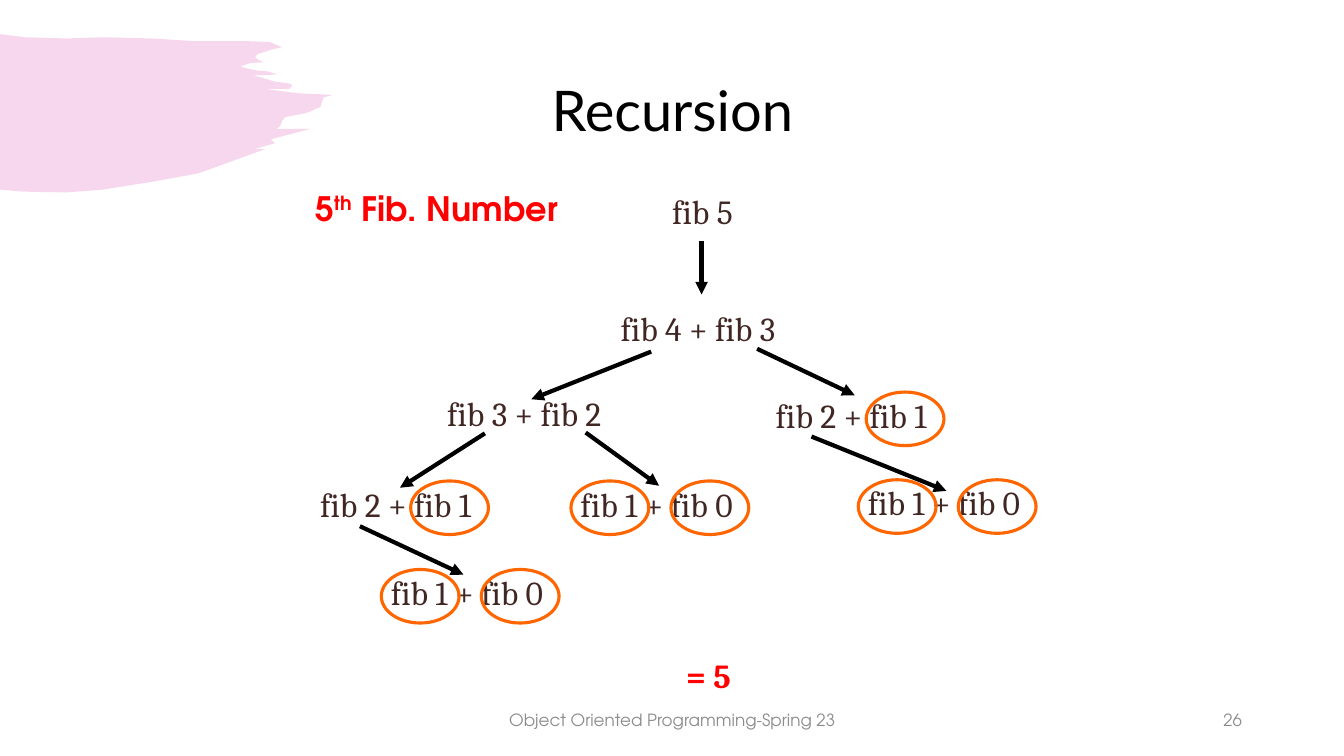
"""Build a slide that shows the call tree of the fifth Fibonacci number."""
from dataclasses import dataclass

from lxml.etree import SubElement
from pptx import Presentation
from pptx.dml.color import RGBColor as RGB
from pptx.enum.shapes import MSO_CONNECTOR as LINE, MSO_SHAPE as SHAPE
from pptx.enum.text import MSO_ANCHOR as ANCHOR, PP_ALIGN as ALIGN
from pptx.oxml.ns import qn
from pptx.util import Cm, Pt


@dataclass(frozen=True)
class Theme:
    """Colours, fonts and sizes of the slide."""
    ink: RGB = RGB.from_string("000000")
    node: RGB = RGB.from_string("412724")
    key: RGB = RGB.from_string("FF0000")
    ring: RGB = RGB.from_string("FF6600")
    brush: RGB = RGB.from_string("D739AE")
    mute: RGB = RGB.from_string("8C8C8C")
    head: str = "Lato"
    sans: str = "TeX Gyre Adventor"
    serif: str = "Cambria"
    large: Pt = Pt(40)
    body: Pt = Pt(24)
    small: Pt = Pt(12)
    stroke: Pt = Pt(3)
    thin: Pt = Pt(2.25)


THEME = Theme()
INSET = 1.52
RING = (1.96, 1.35)
TERMS = (1.28, 3.8)
BASE = ("fib 0", "fib 1")

NODES = [
    ("fib 5", 15.42, 4.8),
    ("fib 4 + fib 3", 14.12, 7.75),
    ("fib 3 + fib 2", 9.75, 9.88),
    ("fib 2 + fib 1", 18.03, 9.93),
    ("fib 2 + fib 1", 6.55, 12.17),
    ("fib 1 + fib 0", 13.11, 12.17),
    ("fib 1 + fib 0", 20.35, 12.14),
    ("fib 1 + fib 0", 8.33, 14.4),
]

CALLS = [
    (17.68, 6.07, 17.68, 7.42),
    (16.41, 8.86, 13.39, 10.06),
    (19.08, 8.79, 21.54, 9.96),
    (12.22, 10.92, 10.08, 12.29),
    (14.76, 10.9, 16.61, 12.24),
    (20.45, 11, 23.85, 12.37),
    (9.07, 13.26, 11.68, 14.48),
]

BRUSH = [
    (0, 0.86), (0.64, 0.94), (1.68, 0.97), (2.59, 0.94), (3.84, 0.97),
    (4.93, 1.04), (6.3, 1.04), (6.8, 1.06), (7.11, 1.19), (6.88, 1.24),
    (6.48, 1.37), (6.43, 1.45), (6.5, 1.5), (6.65, 1.57), (6.3, 1.59),
    (6.05, 1.68), (6.25, 1.73), (6.5, 1.78), (6.76, 1.8), (6.98, 1.88),
    (6.38, 1.9), (6.68, 1.98), (6.93, 2.06), (7.11, 2.08), (7.32, 2.11),
    (7.37, 2.16), (7.29, 2.24), (7.21, 2.24), (6.68, 2.24), (7.5, 2.35),
    (8.38, 2.39), (8.15, 2.46), (8.08, 2.69), (7.8, 2.82), (7.62, 2.87),
    (7.19, 2.95), (7.11, 3.05), (7.06, 3.18), (6.96, 3.25), (7.82, 3.25),
    (6.83, 3.51), (6.93, 3.61), (6.4, 3.76), (6.68, 3.76), (5, 4.37),
    (3.9, 4.57), (2.59, 4.78), (1.65, 4.85), (0.58, 4.83), (0, 4.78),
]


def add_text(slide, text, box, font, size, color, align=ALIGN.LEFT,
             inset=0.25, bold=False):
    """Add a text box and return its paragraph."""
    frame = slide.shapes.add_textbox(*map(Cm, box)).text_frame
    frame.word_wrap = True
    frame.margin_left = Cm(inset)
    frame.vertical_anchor = ANCHOR.MIDDLE
    frame.text = text
    para = frame.paragraphs[0]
    para.alignment = align
    para.line_spacing = 0.9
    style(para.runs[0], font, size, color, bold)
    return para


def style(run, font, size, color, bold):
    """Set the font of a run."""
    run.font.name, run.font.size, run.font.bold = font, size, bold
    run.font.color.rgb = color


def add_brush(slide):
    """Add the pale brush stroke in the corner."""
    start, *rest = [(Cm(x), Cm(y)) for x, y in BRUSH]
    build = slide.shapes.build_freeform(*start)
    build.add_line_segments(rest)
    shape = build.convert_to_shape()
    shape.shadow.inherit = False
    shape.line.fill.background()
    shape.fill.solid()
    shape.fill.fore_color.rgb = THEME.brush
    tint = next(shape.element.spPr.iter(qn("a:srgbClr")))
    SubElement(tint, qn("a:alpha"), val="20000")


def add_arrow(slide, ends):
    """Add an arrow from a call to its result."""
    arrow = slide.shapes.add_connector(LINE.STRAIGHT, *map(Cm, ends))
    arrow.line.color.rgb = THEME.ink
    arrow.line.width = THEME.stroke
    SubElement(arrow.line._get_or_add_ln(), qn("a:tailEnd"), type="triangle")
    SubElement(arrow._element.spPr, qn("a:effectLst"))


def add_node(slide, text, left, top):
    """Add a sum of calls."""
    add_text(slide, text, (left, top, 7.09, 1.17), THEME.serif, THEME.body,
             THEME.node, inset=INSET)


def add_rings(slide, text, left, top):
    """Ring each base case in a sum of calls."""
    for term, shift in zip(text.split(" + "), TERMS):
        if term in BASE:
            box = (left + shift, top - 0.05, *RING)
            ring = slide.shapes.add_shape(SHAPE.OVAL, *map(Cm, box))
            ring.shadow.inherit = False
            ring.fill.background()
            ring.line.color.rgb = THEME.ring
            ring.line.width = THEME.thin


def add_label(slide):
    """Add the red label with its raised ordinal."""
    font = (THEME.sans, THEME.body, THEME.key, True)
    para = add_text(slide, "5", (6.43, 4.7, 7.95, 1.19), *font[:3],
                    inset=INSET, bold=True)
    for text, base in (("th", "30000"), (" Fib. Number", "0")):
        run = para.add_run()
        run.text = text
        style(run, *font)
        run.font._element.set("baseline", base)


def main():
    """Build and save the slide."""
    deck = Presentation()
    deck.slide_width, deck.slide_height = Cm(33.87), Cm(19.05)
    slide = deck.slides.add_slide(deck.slide_layouts[6])
    add_brush(slide)
    add_text(slide, "Recursion", (2.34, 1.02, 29.21, 3.68), THEME.head,
             THEME.large, THEME.ink, ALIGN.CENTER)
    foot = (THEME.sans, THEME.small, THEME.mute)
    add_text(slide, "Object Oriented Programming-Spring 23",
             (11.23, 17.65, 11.43, 1.02), *foot, ALIGN.CENTER)
    add_text(slide, "26", (23.93, 17.65, 7.62, 1.02), *foot, ALIGN.RIGHT)
    for ends in CALLS:
        add_arrow(slide, ends)
    add_label(slide)
    for node in NODES:
        add_node(slide, *node)
    for node in NODES:
        add_rings(slide, *node)
    add_text(slide, "= 5", (15.77, 16.48, 3.73, 1.19), THEME.serif,
             THEME.body, THEME.key, inset=INSET, bold=True)
    deck.save("out.pptx")


if __name__ == "__main__":
    main()
